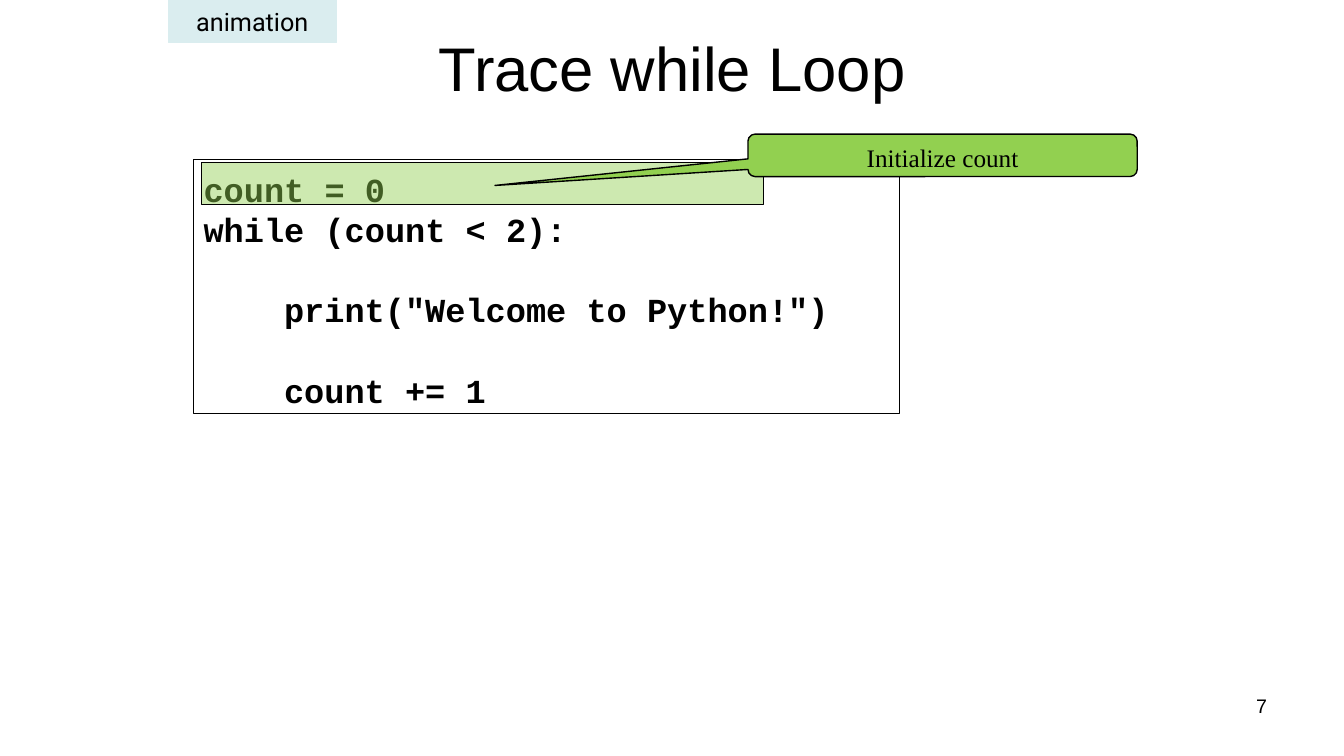
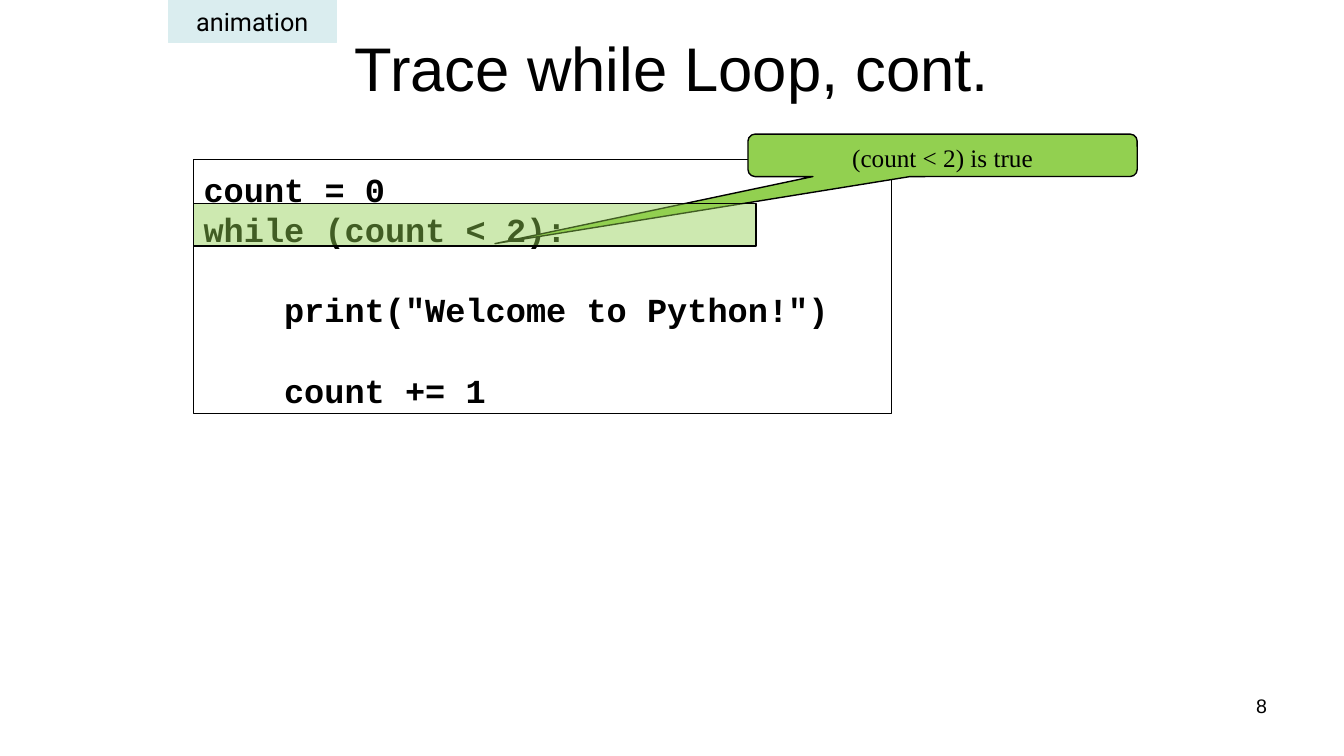
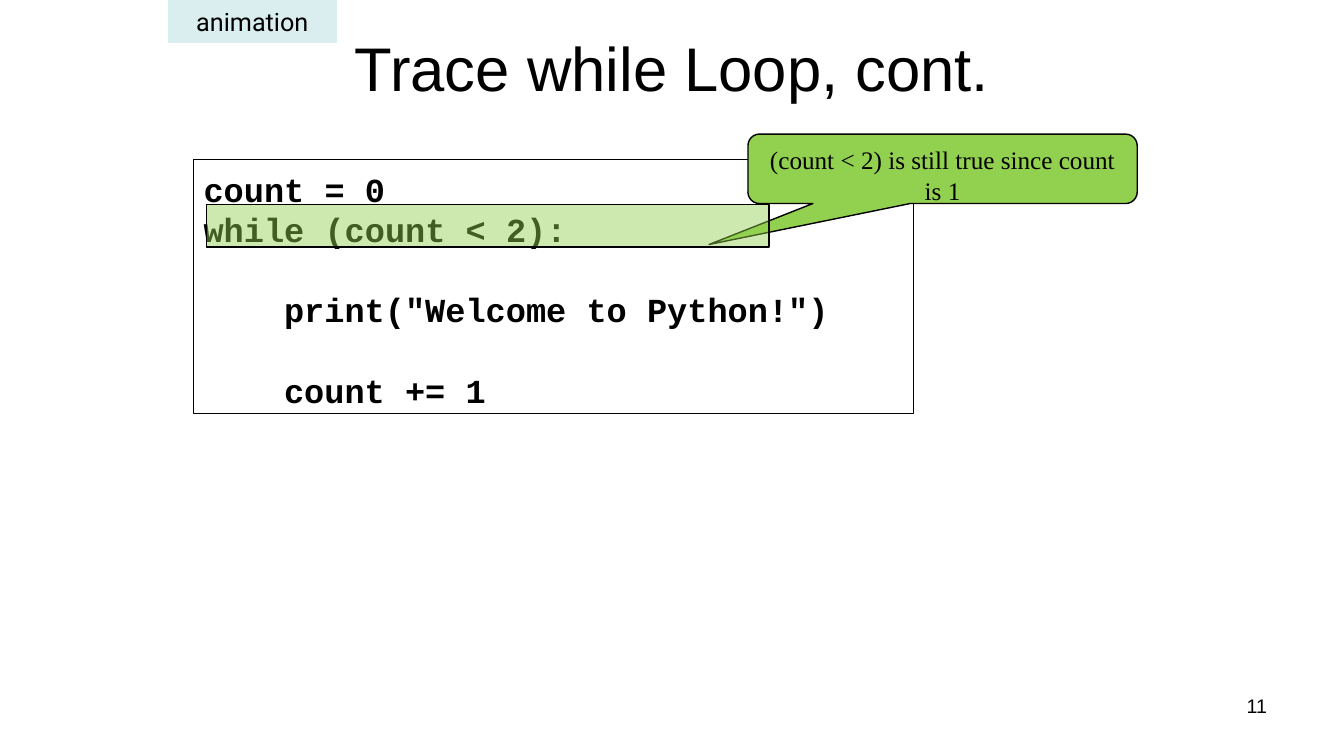
from lxml.etree import SubElement
from pptx import Presentation
from pptx.dml.color import RGBColor
from pptx.enum.shapes import MSO_SHAPE
from pptx.enum.text import MSO_ANCHOR, PP_ALIGN
from pptx.oxml.ns import qn
from pptx.util import Cm, Pt

CODE = [
    ("count = 0", 0, False),
    ("while (count < 2):", 0, False),
    ('print("Welcome to Python!")', 1, True),
    ("count += 1", 1, True),
]


def rgb(value):
    return RGBColor.from_string(value)


def write(paragraph, text, font="Arial", size=18, color="000000", bold=False,
          align=PP_ALIGN.LEFT, spacing=None, before=0):
    run = paragraph.add_run()
    run.text = text
    run.font.name = font
    run.font.size = Pt(size)
    run.font.bold = bold
    run.font.color.rgb = rgb(color)
    paragraph.alignment = align
    paragraph.space_before = Pt(before)
    if spacing:
        paragraph.line_spacing = spacing


class TraceDeck:
    INK = "000000"
    GREEN = "92D050"
    TAG = "DAEDEF"
    CODE_PITCH = 28.7
    CODE_INDENT = Cm(2.03)
    ROW_HEIGHT = 1.07

    def __init__(self):
        self.deck = Presentation()
        self.deck.slide_width = Cm(33.87)
        self.deck.slide_height = Cm(19.05)
        self.slide = None

    def start(self, title, number):
        self.slide = self.deck.slides.add_slide(self.deck.slide_layouts[6])
        self.label(title, 6.15, 0.64, 21.59, 2.11, anchor=MSO_ANCHOR.MIDDLE,
                   size=44, align=PP_ALIGN.CENTER)
        self.label(str(number), 24.28, 17.35, 7.9, 1.32,
                   size=14, align=PP_ALIGN.RIGHT)
        self.tag("animation")

    def label(self, text, left, top, width, height, anchor=MSO_ANCHOR.TOP, **style):
        frame = self.slide.shapes.add_textbox(
            Cm(left), Cm(top), Cm(width), Cm(height)).text_frame
        frame.word_wrap = True
        frame.vertical_anchor = anchor
        write(frame.paragraphs[0], text, **style)

    def box(self, left, top, width, height, fill=None, line=INK, weight=1,
            preset=MSO_SHAPE.RECTANGLE):
        shape = self.slide.shapes.add_shape(
            preset, Cm(left), Cm(top), Cm(width), Cm(height))
        shape.shadow.inherit = False
        if fill:
            shape.fill.solid()
            shape.fill.fore_color.rgb = rgb(fill)
        else:
            shape.fill.background()
        shape.line.color.rgb = rgb(line)
        shape.line.width = Pt(weight)
        shape.text_frame.word_wrap = True
        shape.text_frame.vertical_anchor = MSO_ANCHOR.TOP
        return shape

    def tag(self, text):
        frame = self.box(4.24, 0, 4.24, self.ROW_HEIGHT, self.TAG, self.TAG).text_frame
        frame.word_wrap = False
        frame.vertical_anchor = MSO_ANCHOR.MIDDLE
        write(frame.paragraphs[0], text, font="Roboto", align=PP_ALIGN.CENTER)

    def code(self, width):
        frame = self.box(4.88, 4.01, width, 6.4, weight=0.75).text_frame
        frame.margin_top = Cm(0.25)
        for index, (text, level, gap) in enumerate(CODE):
            paragraph = frame.add_paragraph() if index else frame.paragraphs[0]
            write(paragraph, text, font="Courier New", size=24, bold=True,
                  spacing=Pt(self.CODE_PITCH), before=self.CODE_PITCH * gap)
            if level:
                properties = paragraph._p.get_or_add_pPr()
                properties.set("marL", str(level * self.CODE_INDENT))
                properties.set("indent", "0")

    def highlight(self, left, top):
        marker = self.box(left, top, 14.17, self.ROW_HEIGHT, self.GREEN)
        color = marker._element.spPr.find(qn("a:solidFill"))[0]
        SubElement(color, qn("a:alpha"), val="45000")

    def callout(self, text, tip_x, tip_y, height=ROW_HEIGHT):
        bubble = self.box(18.85, 3.38, 9.81, height, self.GREEN,
                          preset=MSO_SHAPE.ROUNDED_RECTANGULAR_CALLOUT)
        bubble.adjustments[0] = tip_x
        bubble.adjustments[1] = tip_y
        write(bubble.text_frame.paragraphs[0], text, font="Times New Roman",
              align=PP_ALIGN.CENTER, spacing=1.05)

    def save(self):
        self.deck.save("out.pptx")


def main():
    trace = TraceDeck()

    trace.start("Trace while Loop", 7)
    trace.code(17.78)
    trace.highlight(5.08, 4.09)
    trace.callout("Initialize count", -1.15, 0.71)

    trace.start("Trace while Loop, cont.", 8)
    trace.code(17.58)
    trace.callout("(count < 2) is true", -1.15, 2.08)
    trace.highlight(4.88, 5.13)

    trace.start("Trace while Loop, cont.", 11)
    trace.code(18.14)
    trace.callout("(count < 2) is still true since count is 1", -0.6, 1.09, height=1.75)
    trace.highlight(5.21, 5.16)

    trace.save()


if __name__ == "__main__":
    main()
